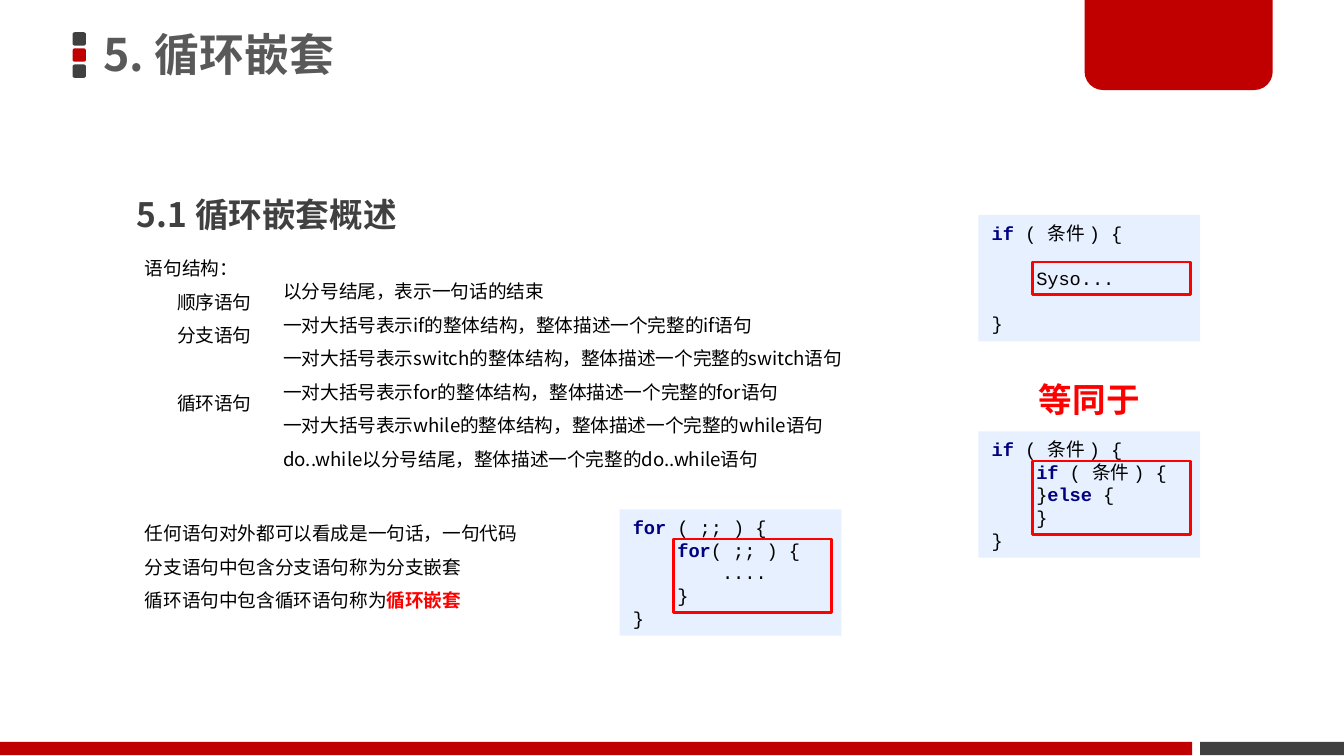
from lxml import etree
from pptx import Presentation
from pptx import util as u
from pptx.dml.color import RGBColor
from pptx.enum import shapes, text
from pptx.oxml.ns import qn

COLORS = {
    "red": "C00000", "dark": "404040", "title": "595959", "black": "000000",
    "alert": "FF0000", "keyword": "000080", "code": "E6F0FF",
}
SANS = "Noto Sans CJK SC"
MONO = "Courier New"
CODE_PITCH = 12.1
IF_LINE = "*if *( 条件 ) {"


def rgb(name):
    """Return the named palette colour."""
    return RGBColor.from_string(COLORS[name])


def add_block(slide, box, fill=None, line=None, kind=shapes.MSO_SHAPE.RECTANGLE):
    """Add a preset shape with an optional fill and outline."""
    shape = slide.shapes.add_shape(kind, *map(u.Inches, box))
    shape.shadow.inherit = False
    if fill:
        shape.fill.solid()
        shape.fill.fore_color.rgb = rgb(fill)
    else:
        shape.fill.background()
    if line:
        shape.line.color.rgb = rgb(line)
        shape.line.width = u.Pt(1.5)
    else:
        shape.line.fill.background()
    return shape


def write_lines(shape, lines, size, color, accent, font=SANS, bold=False, pitch=None):
    """Write one paragraph per line, with accented text between asterisks."""
    frame = shape.text_frame
    frame.word_wrap = True
    frame.vertical_anchor = text.MSO_ANCHOR.TOP
    for index, line in enumerate(lines):
        paragraph = frame.add_paragraph() if index else frame.paragraphs[0]
        paragraph.alignment = text.PP_ALIGN.LEFT
        if pitch:
            paragraph.line_spacing = u.Pt(pitch)
        for part, content in enumerate(line.split("*")):
            if not content:
                continue
            run = paragraph.add_run()
            run.text = content
            accented = part % 2 == 1
            run.font.size = u.Pt(size)
            run.font.bold = bold or accented
            run.font.color.rgb = rgb(accent if accented else color)
            run.font.name = font
            east_asian = etree.SubElement(run.font._element, qn("a:ea"))
            east_asian.set("typeface", SANS)
    return frame


def add_text(slide, box, lines, size=10, color="black", bold=False, pitch=18):
    """Add a wrapped text box."""
    shape = slide.shapes.add_textbox(*map(u.Inches, box))
    return write_lines(shape, lines, size, color, "alert", bold=bold, pitch=pitch)


def add_code(slide, left, top, lines, frame_top, frame_height):
    """Add a code panel with a red frame around its inner statement."""
    panel = add_block(slide, (left, top, 1.65, 0.94), "code")
    frame = write_lines(panel, lines, 10, "black", "keyword", MONO, pitch=CODE_PITCH)
    add_block(slide, (left + 0.4, top + frame_top, 1.18, frame_height), line="alert")
    return frame


def add_decoration(slide):
    """Add the title marks, the corner tab and the footer bars."""
    for index, color in enumerate(("dark", "red", "dark")):
        add_block(slide, (0.54, 0.24 + 0.12 * index, 0.1, 0.1), color,
                  kind=shapes.MSO_SHAPE.ROUNDED_RECTANGLE)
    add_block(slide, (8.93, 5.52, 1.07, 0.1), "dark")
    add_block(slide, (0, 5.52, 8.87, 0.1), "red")
    tab = add_block(slide, (8.07, -0.02, 1.4, 0.69), "red",
                    kind=shapes.MSO_SHAPE.ROUND_2_SAME_RECTANGLE)
    tab.adjustments[0] = 0
    tab.adjustments[1] = 0.2


def add_explanations(slide):
    """Add the statement kinds, their meanings and the conclusions."""
    kinds = add_text(slide, (0.98, 1.78, 1.1, 1.35),
                     ["语句结构：", "顺序语句", "分支语句", "循环语句"])
    for paragraph in kinds.paragraphs[1:]:
        paragraph._p.get_or_add_pPr().set("marL", str(u.Inches(0.24)))
    kinds.paragraphs[-1].space_before = u.Pt(18)

    meanings = ["以分号结尾，表示一句话的结束"]
    meanings += [f"一对大括号表示{word}的整体结构，整体描述一个完整的{word}语句"
                 for word in ("if", "switch", "for", "while")]
    meanings.append("do..while以分号结尾，整体描述一个完整的do..while语句")
    add_text(slide, (2.01, 1.95, 6.69, 1.6), meanings)

    add_text(slide, (0.98, 3.75, 5.83, 0.85), [
        "任何语句对外都可以看成是一句话，一句代码",
        "分支语句中包含分支语句称为分支嵌套",
        "循环语句中包含循环语句称为*循环嵌套*",
    ])


def main():
    """Build and save the nested loop slide."""
    presentation = Presentation()
    presentation.slide_width = u.Inches(10)
    presentation.slide_height = u.Inches(10) * 9 // 16
    slide = presentation.slides.add_slide(presentation.slide_layouts[6])
    add_decoration(slide)

    title = add_text(slide, (0.69, -0.02, 5.89, 0.89), ["5. 循环嵌套"],
                     24, "title", True, pitch=None)
    title.vertical_anchor = text.MSO_ANCHOR.MIDDLE
    title.margin_left = title.margin_right = u.Inches(0.08)
    title.margin_top = title.margin_bottom = u.Inches(0.04)
    title.paragraphs[0].line_spacing = 0.9
    add_text(slide, (0.92, 1.24, 4.79, 0.55), ["5.1 循环嵌套概述"],
             18, "dark", True, pitch=32.4)
    add_explanations(slide)

    simple = add_code(slide, 7.28, 1.6, [IF_LINE, "    Syso...", "}"], 0.35, 0.24)
    for paragraph in simple.paragraphs[1:]:
        paragraph.space_before = u.Pt(CODE_PITCH)
    add_code(slide, 7.28, 3.21,
             [IF_LINE, "    " + IF_LINE, "    }*else* {", "    }", "}"], 0.22, 0.55)
    equal = add_text(slide, (7.28, 2.62, 1.65, 0.55), ["等同于"],
                     18, "alert", True, pitch=32.4)
    equal.paragraphs[0].alignment = text.PP_ALIGN.CENTER
    add_code(slide, 4.61, 3.79,
             ["*for *( ;; ) {", "    *for*( ;; ) {", "        ....", "    }", "}"],
             0.22, 0.55)
    presentation.save("out.pptx")


if __name__ == "__main__":
    main()
